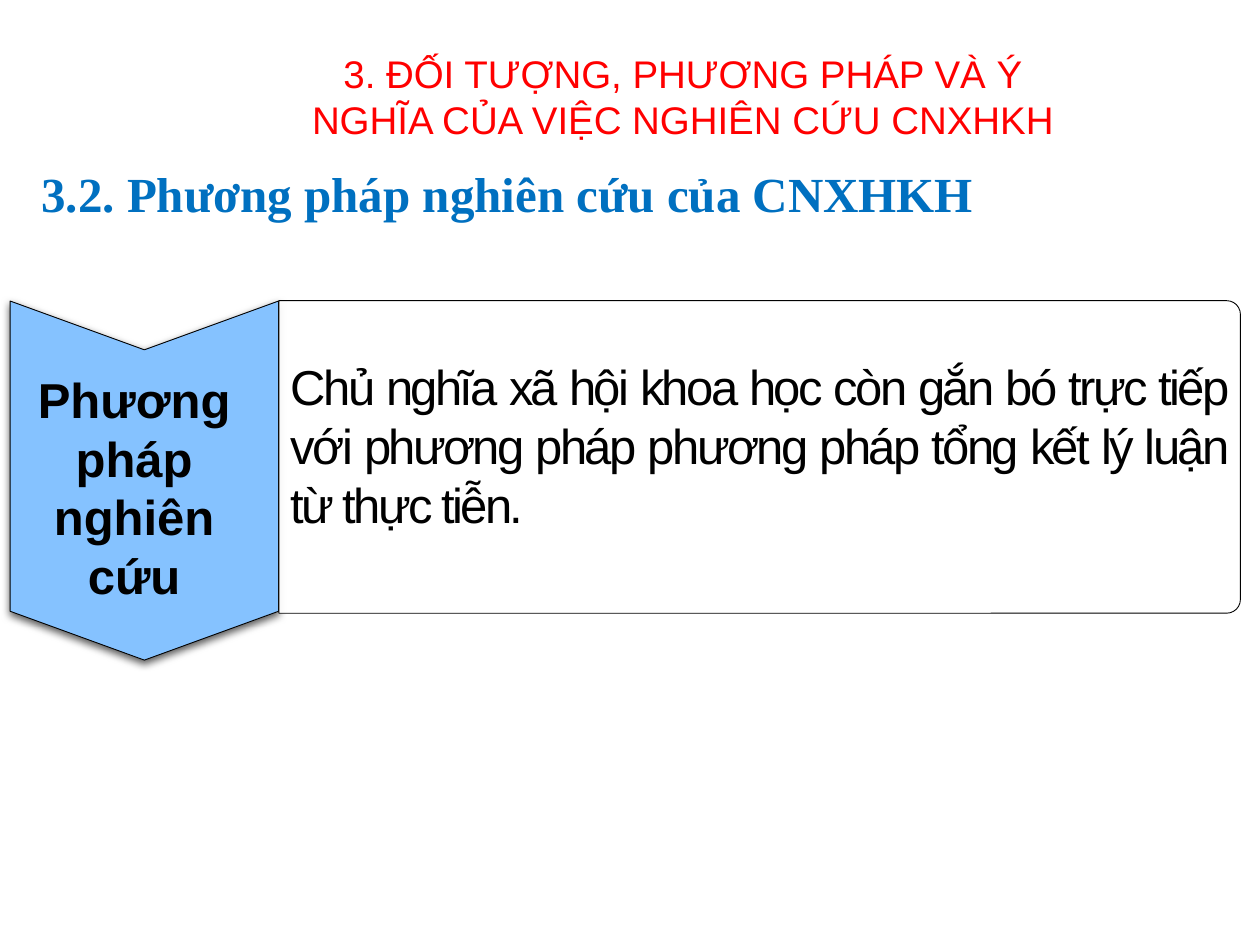
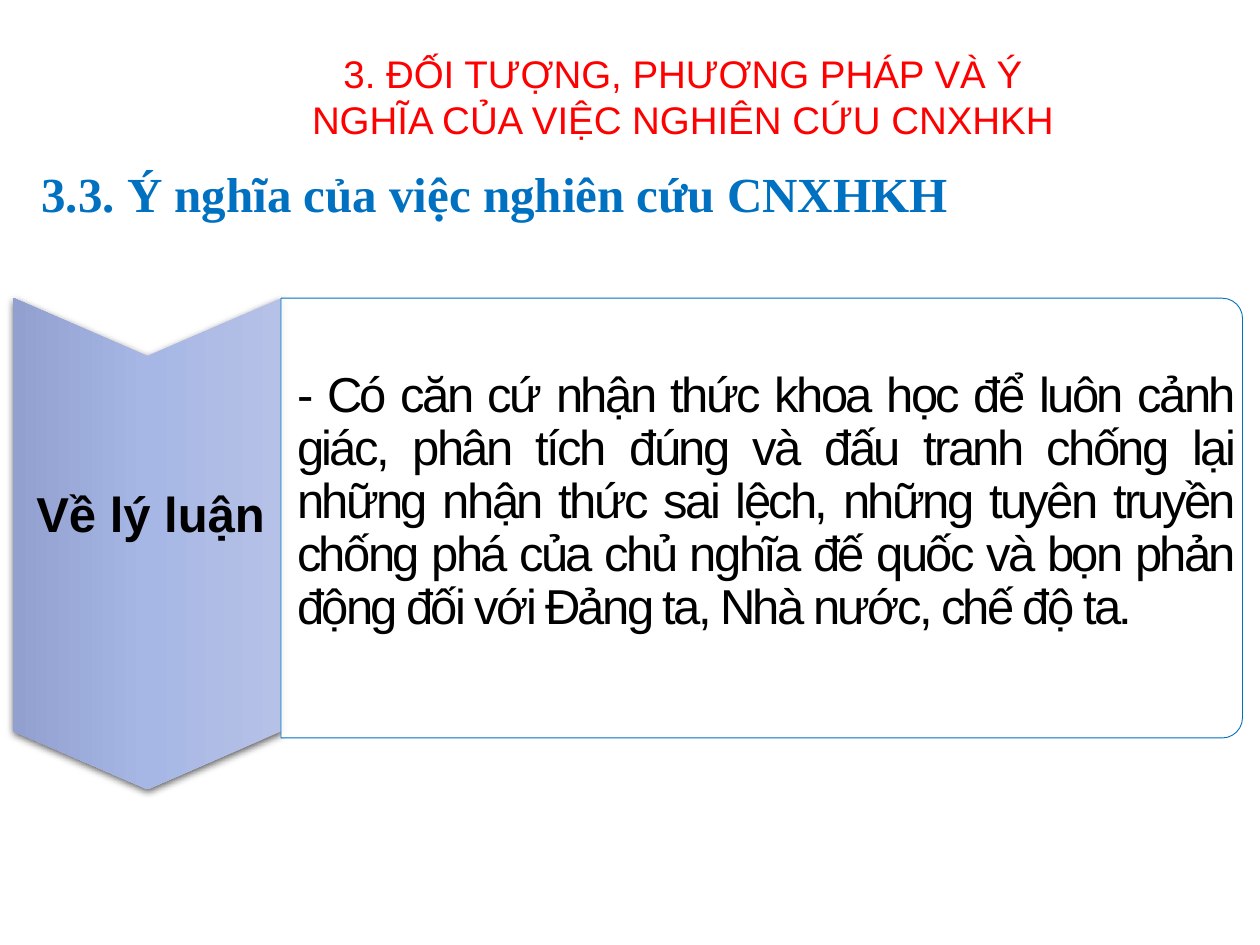
from dataclasses import dataclass

from lxml.etree import SubElement
from pptx import Presentation
from pptx.dml.color import RGBColor
from pptx.enum.shapes import MSO_SHAPE as Preset
from pptx.enum.text import MSO_ANCHOR as Anchor, PP_ALIGN as Align
from pptx.oxml.ns import qn
from pptx.shapes.autoshape import Shape
from pptx.slide import Slide
from pptx.util import Pt

BLACK, WHITE, RED, BLUE = "000000", "FFFFFF", "FF0000", "0070C0"
SANS, SERIF = "Arial", "Times New Roman"
CHAPTER = "3. ĐỐI TƯỢNG, PHƯƠNG PHÁP VÀ Ý NGHĨA CỦA VIỆC NGHIÊN CỨU CNXHKH"


@dataclass(frozen=True)
class Frame:
    left: float
    top: float
    width: float
    height: float


@dataclass(frozen=True)
class Style:
    align: Align
    size: float = 28
    color: str = BLACK
    font: str = SANS
    bold: bool = False
    tracking: float = 0
    line_spacing: float | None = None
    anchor: Anchor = Anchor.TOP


@dataclass(frozen=True)
class Topic:
    heading: str
    label: str
    body: str
    chevron: Frame
    panel: Frame
    label_frame: Frame
    body_frame: Frame
    notch: float
    corner: float
    fills: tuple[str, ...]
    chevron_line: str | None
    panel_line: str
    body_spacing: float | None = None


TITLE_FRAME = Frame(169.2, 2.9, 442.1, 104.4)
HEADING_FRAME = Frame(16.6, 90, 696.2, 41)
TITLE = Style(Align.CENTER, size=22, color=RED, anchor=Anchor.MIDDLE)
HEADING = Style(Align.JUSTIFY, color=BLUE, font=SERIF, bold=True)
LABEL = Style(Align.CENTER, bold=True)

TOPICS = (
    Topic(
        heading="3.2. Phương pháp nghiên cứu của CNXHKH",
        label="Phương pháp nghiên cứu",
        body="Chủ nghĩa xã hội khoa học còn gắn bó trực tiếp với phương pháp "
             "phương pháp tổng kết lý luận từ thực tiễn.",
        chevron=Frame(5.8, 172, 153.4, 205.2),
        panel=Frame(159.4, 171.8, 549.4, 178.6),
        label_frame=Frame(-5.8, 207.4, 164.9, 143.3),
        body_frame=Frame(159.1, 200.2, 549.4, 108.7),
        notch=0.182, corner=0.044, fills=("85C2FF",),
        chevron_line="010101", panel_line="010101",
    ),
    Topic(
        heading="3.3. Ý nghĩa của việc nghiên cứu CNXHKH",
        label="Về lý luận",
        body="- Có căn cứ nhận thức khoa học để luôn cảnh giác, phân tích đúng "
             "và đấu tranh chống lại những nhận thức sai lệch, những tuyên "
             "truyền chống phá của chủ nghĩa đế quốc và bọn phản động đối với "
             "Đảng ta, Nhà nước, chế độ ta.",
        chevron=Frame(7.6, 170.3, 153.4, 280.8),
        panel=Frame(160.6, 170.4, 549.4, 251.3),
        label_frame=Frame(3.6, 272.9, 164.9, 41),
        body_frame=Frame(162.7, 208.1, 549.4, 159.8),
        notch=0.217, corner=0.046, fills=("B5C1E6", "A7B7E5", "91A0CF"),
        chevron_line=None, panel_line=BLUE, body_spacing=0.9,
    ),
)


def rgb(color: str) -> RGBColor:
    return RGBColor.from_string(color)


def add_text(page: Slide, frame: Frame, text: str, style: Style) -> None:
    box = page.shapes.add_textbox(
        Pt(frame.left), Pt(frame.top), Pt(frame.width), Pt(frame.height))
    box.text_frame.word_wrap = True
    box.text_frame.vertical_anchor = style.anchor
    para = box.text_frame.paragraphs[0]
    span = para.add_run()
    span.text = text
    para.alignment = style.align
    para.line_spacing = style.line_spacing
    para.font.name = style.font
    para.font.size = Pt(style.size)
    para.font.bold = style.bold
    para.font.color.rgb = rgb(style.color)
    if style.tracking:
        span.font._element.set("spc", str(round(style.tracking * 100)))


def add_turned_shape(page: Slide, preset: Preset, frame: Frame,
                     adjustment: float, line: str | None) -> Shape:
    shift = (frame.width - frame.height) / 2
    shape = page.shapes.add_shape(
        preset, Pt(frame.left + shift), Pt(frame.top - shift),
        Pt(frame.height), Pt(frame.width))
    shape.rotation = 90
    shape.adjustments[0] = adjustment
    shape.shadow.inherit = False
    if line:
        shape.line.color.rgb = rgb(line)
        shape.line.width = Pt(0.5)
    else:
        shape.line.fill.background()
    return shape


def add_color(parent, color: str, alpha: int | None = None) -> None:
    node = SubElement(parent, qn("a:srgbClr"), val=color)
    if alpha is not None:
        SubElement(node, qn("a:alpha"), val=str(alpha * 1000))


def fill_shape(shape: Shape, colors: tuple[str, ...]) -> None:
    if len(colors) == 1:
        shape.fill.solid()
        shape.fill.fore_color.rgb = rgb(colors[0])
        return
    shape.fill.gradient()
    shape.fill.gradient_angle = 270
    stops = shape._element.spPr.find(qn("a:gradFill")).find(qn("a:gsLst"))
    for stop in list(stops):
        stops.remove(stop)
    for index, color in enumerate(colors):
        position = round(100000 * index / (len(colors) - 1))
        add_color(SubElement(stops, qn("a:gs"), pos=str(position)), color)


def add_shadow(shape: Shape) -> None:
    effects = shape._element.spPr.find(qn("a:effectLst"))
    shadow = SubElement(
        effects, qn("a:outerShdw"), blurRad=str(Pt(4.5)), dist=str(Pt(1.5)),
        dir="5400000", rotWithShape="0")
    add_color(shadow, BLACK, 63)


def add_topic(page: Slide, topic: Topic) -> None:
    chevron = add_turned_shape(
        page, Preset.CHEVRON, topic.chevron, topic.notch, topic.chevron_line)
    fill_shape(chevron, topic.fills)
    add_shadow(chevron)

    panel = add_turned_shape(
        page, Preset.ROUND_2_SAME_RECTANGLE, topic.panel, topic.corner,
        topic.panel_line)
    fill_shape(panel, (WHITE,))
    white = panel._element.spPr.find(qn("a:solidFill")).find(qn("a:srgbClr"))
    SubElement(white, qn("a:alpha"), val="90000")

    body = Style(Align.JUSTIFY, tracking=-1.5, line_spacing=topic.body_spacing)
    add_text(page, topic.label_frame, topic.label, LABEL)
    add_text(page, topic.body_frame, topic.body, body)
    add_text(page, HEADING_FRAME, topic.heading, HEADING)
    add_text(page, TITLE_FRAME, CHAPTER, TITLE)


def main() -> None:
    deck = Presentation()
    deck.slide_width, deck.slide_height = Pt(720), Pt(540)
    for topic in TOPICS:
        add_topic(deck.slides.add_slide(deck.slide_layouts[6]), topic)
    deck.save("out.pptx")


if __name__ == "__main__":
    main()
